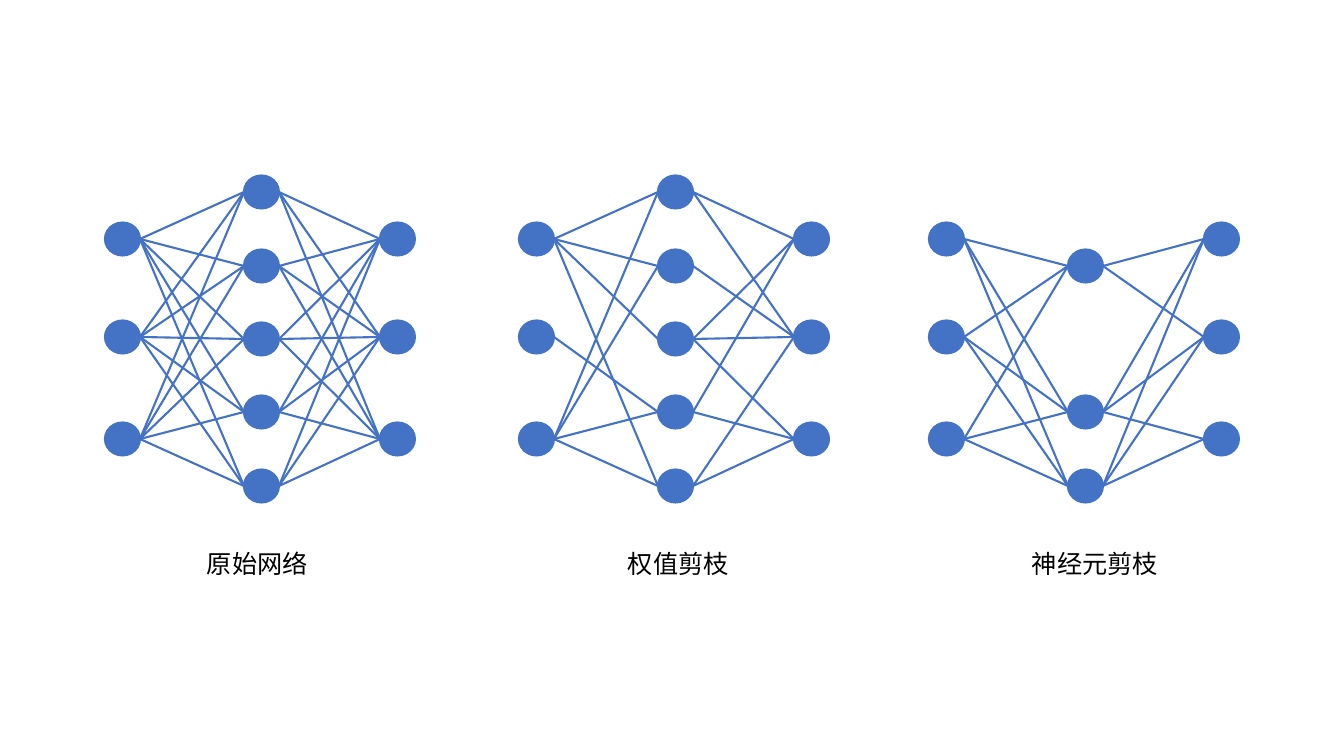
import pptx
import pptx.util
import pptx.dml.color
import pptx.enum.shapes
import pptx.enum.text
import pptx.oxml.ns
import lxml.etree

BLUE = "4472C4"
BLACK = "000000"
FONT = "Calibri"

ALL_INPUTS = (0, 1, 2)
ALL_HIDDEN = (0, 1, 2, 3, 4)
NETWORKS = [
    {
        "left": 105,
        "hidden": ALL_HIDDEN,
        "input_links": {i: ALL_HIDDEN for i in ALL_INPUTS},
        "output_links": {i: ALL_INPUTS for i in ALL_HIDDEN},
        "label": ("原始网络", 197, 128),
    },
    {
        "left": 519,
        "hidden": ALL_HIDDEN,
        "input_links": {0: (0, 1, 2, 4), 1: (3,), 2: (0, 1, 3, 4)},
        "output_links": {0: (0, 1), 1: (1,), 2: (0, 1, 2), 3: (0, 2), 4: (1, 2)},
        "label": ("权值剪枝", 618, 128),
    },
    {
        "left": 929,
        "hidden": (1, 3, 4),
        "input_links": {i: (1, 3, 4) for i in ALL_INPUTS},
        "output_links": {1: (0, 1), 3: ALL_INPUTS, 4: ALL_INPUTS},
        "label": ("神经元剪枝", 1022, 154),
    },
]

OUTER_CENTERS = (239, 337, 439)
HIDDEN_CENTERS = (192, 266, 339, 412, 486)
HIDDEN_OFFSET, OUTPUT_OFFSET = 139, 275
NODE_WIDTH, NODE_HEIGHT = 35, 33
LABEL_TOP, LABEL_HEIGHT = 543, 40


def px(value):
    return pptx.util.Emu(round(value * 914400 / 100.8))


def color(hex_string):
    return pptx.dml.color.RGBColor.from_string(hex_string)


def style_line(line):
    line.color.rgb = color(BLUE)
    line.width = pptx.util.Pt(1.5)


def add_neuron(left, center):
    shape = slide.shapes.add_shape(
        pptx.enum.shapes.MSO_SHAPE.OVAL,
        px(left), px(center - NODE_HEIGHT / 2), px(NODE_WIDTH), px(NODE_HEIGHT))
    shape.shadow.inherit = False
    shape.fill.solid()
    shape.fill.fore_color.rgb = color(BLUE)
    style_line(shape.line)


def add_links(links, start_left, start_centers, end_left, end_centers):
    for start, ends in links.items():
        for end in ends:
            connector = slide.shapes.add_connector(
                pptx.enum.shapes.MSO_CONNECTOR.STRAIGHT,
                px(start_left + NODE_WIDTH), px(start_centers[start]),
                px(end_left), px(end_centers[end]))
            style_line(connector.line)
            lxml.etree.SubElement(
                connector._element.spPr, pptx.oxml.ns.qn("a:effectLst"))


def add_label(text, left, width):
    box = slide.shapes.add_textbox(
        px(left), px(LABEL_TOP), px(width), px(LABEL_HEIGHT))
    frame = box.text_frame
    frame.word_wrap = True
    frame.auto_size = pptx.enum.text.MSO_AUTO_SIZE.SHAPE_TO_FIT_TEXT
    frame.text = text
    font = frame.paragraphs[0].runs[0].font
    font.name = FONT
    font.size = pptx.util.Pt(18)
    font.color.rgb = color(BLACK)


presentation = pptx.Presentation()
presentation.slide_width = px(1344)
presentation.slide_height = px(756)
slide = presentation.slides.add_slide(presentation.slide_layouts[6])

for network in NETWORKS:
    input_left = network["left"]
    hidden_left = input_left + HIDDEN_OFFSET
    output_left = input_left + OUTPUT_OFFSET
    for index in network["hidden"]:
        add_neuron(hidden_left, HIDDEN_CENTERS[index])
    for left in (input_left, output_left):
        for center in OUTER_CENTERS:
            add_neuron(left, center)
    add_links(network["input_links"], input_left, OUTER_CENTERS,
              hidden_left, HIDDEN_CENTERS)
    add_links(network["output_links"], hidden_left, HIDDEN_CENTERS,
              output_left, OUTER_CENTERS)
    add_label(*network["label"])

presentation.save("out.pptx")
